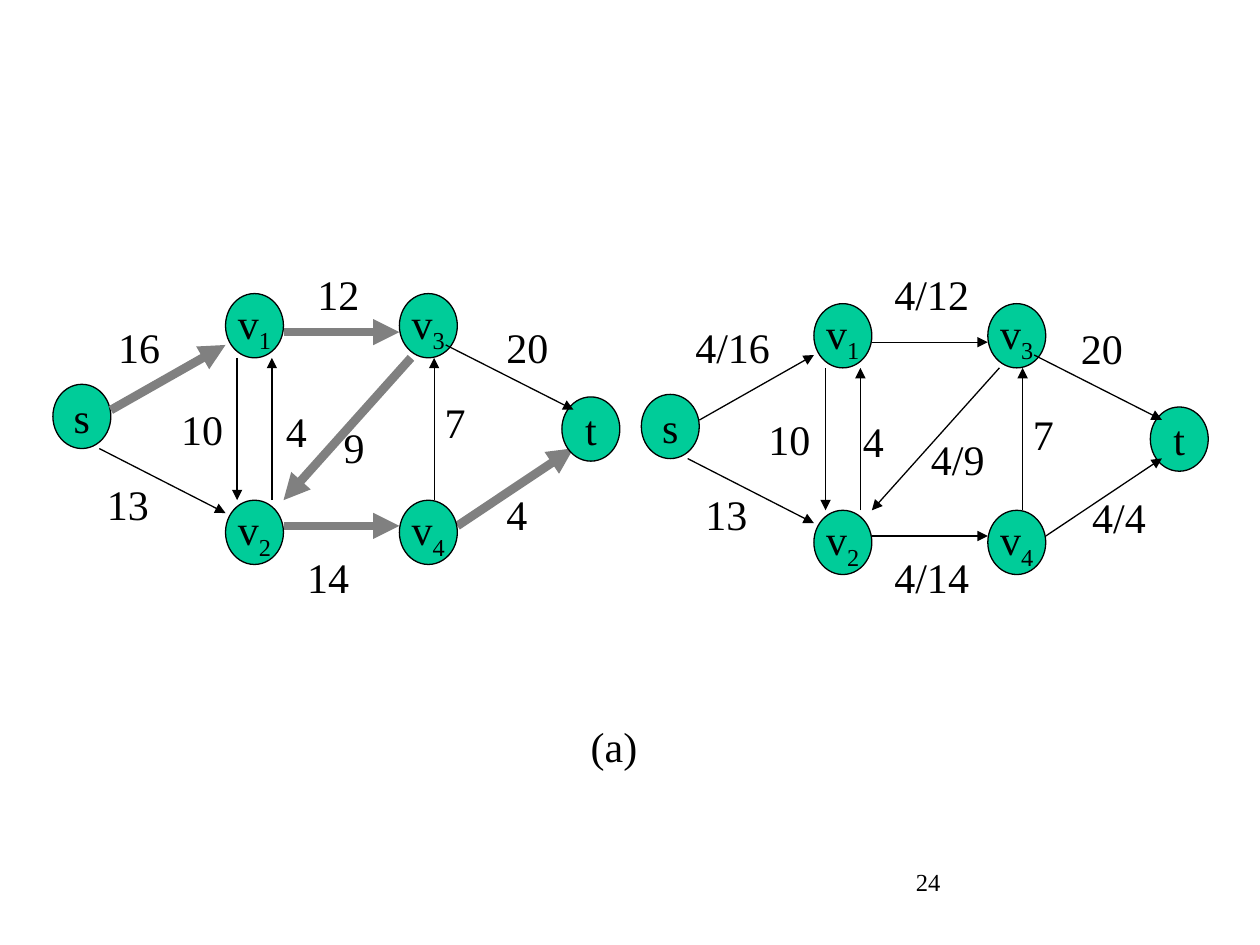
from lxml import etree
from pptx import Presentation
from pptx import util as u
from pptx.dml.color import RGBColor
from pptx.enum import shapes, text
from pptx.oxml.ns import qn

NODE_W, NODE_H = 0.46, 0.51
NODES = {
    "s": (0.42, 3.05), "v1": (1.79, 2.33), "v2": (1.79, 3.97),
    "v3": (3.17, 2.33), "v4": (3.17, 3.97), "t": (4.46, 3.15),
}
# Edge ends are fractions of a node's width and height.
EDGES = {
    ("s", "v1"): ((1, 0.4), (0, 0.8)),
    ("v1", "v3"): ((1, 0.6), (0, 0.6)),
    ("v3", "t"): ((0.8, 0.8), (0.2, 0.2)),
    ("s", "v2"): ((0.8, 1), (0, 0.2)),
    ("v2", "v4"): ((1, 0.4), (0, 0.4)),
    ("v4", "t"): ((1, 0.4), (0.2, 0.8)),
    ("v1", "v2"): ((0.2, 1), (0.2, 0)),
    ("v2", "v1"): ((0.8, 0), (0.8, 1)),
    ("v4", "v3"): ((0.6, 0), (0.6, 1)),
    ("v3", "v2"): ((0.2, 1), (1, 0)),
}
AUGMENTING_PATH = [("s", "v1"), ("v1", "v3"), ("v3", "v2"), ("v2", "v4"), ("v4", "t")]
CAPACITIES = [
    ("20", 3.92, 2.5), ("7", 3.43, 3.1), ("9", 2.63, 3.3), ("16", 0.84, 2.5),
    ("13", 0.75, 3.75), ("12", 2.42, 2.08), ("10", 1.34, 3.15), ("4", 2.17, 3.17),
    ("4", 3.92, 3.83), ("14", 2.34, 4.33),
]
FLOWS = [
    ("4/9", 7.29, 3.39), ("4/16", 5.42, 2.5), ("13", 5.5, 3.83), ("4/12", 7, 2.08),
    ("10", 6, 3.23), ("4", 6.75, 3.25), ("20", 8.48, 2.51), ("4/4", 8.57, 3.85),
    ("7", 8.1, 3.19), ("4/14", 7, 4.33),
]


def color(hex_value):
    return RGBColor.from_string(hex_value)


class FlowSlide:
    FONT = "Times New Roman"
    INK, NODE_FILL, PATH = "000000", "00CC99", "808080"

    def __init__(self, slide):
        self.shapes = slide.shapes

    def style(self, paragraph, size):
        paragraph.font.name = self.FONT
        paragraph.font.size = u.Pt(size)
        paragraph.font.color.rgb = color(self.INK)

    def label(self, words, left, top, width=None, size=24):
        if width is None:
            slashes = words.count("/")
            width = 0.2 + 0.17 * (len(words) - slashes) + 0.09 * slashes
        box = self.shapes.add_textbox(*map(u.Inches, (left, top, width, 0.5)))
        box.text_frame.word_wrap = False
        paragraph = box.text_frame.paragraphs[0]
        paragraph.text = words
        self.style(paragraph, size)

    def node(self, name, left, top):
        """Draw a vertex, with any digit in its name as a subscript."""
        oval = self.shapes.add_shape(
            shapes.MSO_SHAPE.OVAL, *map(u.Inches, (left, top, NODE_W, NODE_H)))
        oval.shadow.inherit = False
        oval.fill.solid()
        oval.fill.fore_color.rgb = color(self.NODE_FILL)
        oval.line.color.rgb = color(self.INK)
        oval.line.width = u.Pt(0.75)
        frame = oval.text_frame
        frame.word_wrap = False
        frame.vertical_anchor = text.MSO_ANCHOR.MIDDLE
        paragraph = frame.paragraphs[0]
        paragraph.alignment = text.PP_ALIGN.CENTER
        self.style(paragraph, 24)
        paragraph.add_run().text = name[0]
        if name[1:]:
            subscript = paragraph.add_run()
            subscript.text = name[1:]
            subscript.font._element.set("baseline", "-25000")

    def arrow(self, start, end, on_path):
        line = self.shapes.add_connector(
            shapes.MSO_CONNECTOR.STRAIGHT, *map(u.Inches, (*start, *end)))
        line.line.color.rgb = color(self.PATH if on_path else self.INK)
        line.line.width = u.Pt(5 if on_path else 0.75)
        etree.SubElement(line.line._get_or_add_ln(), qn("a:tailEnd"), type="triangle")
        etree.SubElement(line._element.spPr, qn("a:effectLst"))

    def network(self, labels, dx=0, dy=0, path=(), behind=()):
        """Draw the graph moved by dx, dy; edges in behind go under the nodes."""
        places = {name: (x + dx, y + dy) for name, (x, y) in NODES.items()}

        def draw_edge(edge):
            ends = [(places[name][0] + fx * NODE_W, places[name][1] + fy * NODE_H)
                    for name, (fx, fy) in zip(edge, EDGES[edge])]
            self.arrow(*ends, edge in path)

        for edge in behind:
            draw_edge(edge)
        for name, place in places.items():
            self.node(name, *place)
        for edge in EDGES:
            if edge not in behind:
                draw_edge(edge)
        for label in labels:
            self.label(*label)


def main():
    prs = Presentation()
    prs.slide_width, prs.slide_height = u.Inches(10), u.Inches(7.5)
    page = FlowSlide(prs.slides.add_slide(prs.slide_layouts[6]))
    page.label("24", 7.17, 6.83, width=2.08, size=14)
    page.network(CAPACITIES, path=AUGMENTING_PATH, behind=[("v4", "t")])
    page.network(FLOWS, dx=4.67, dy=0.08)
    page.label("(a)", 4.59, 5.67, width=0.57)
    prs.save("out.pptx")


if __name__ == "__main__":
    main()
